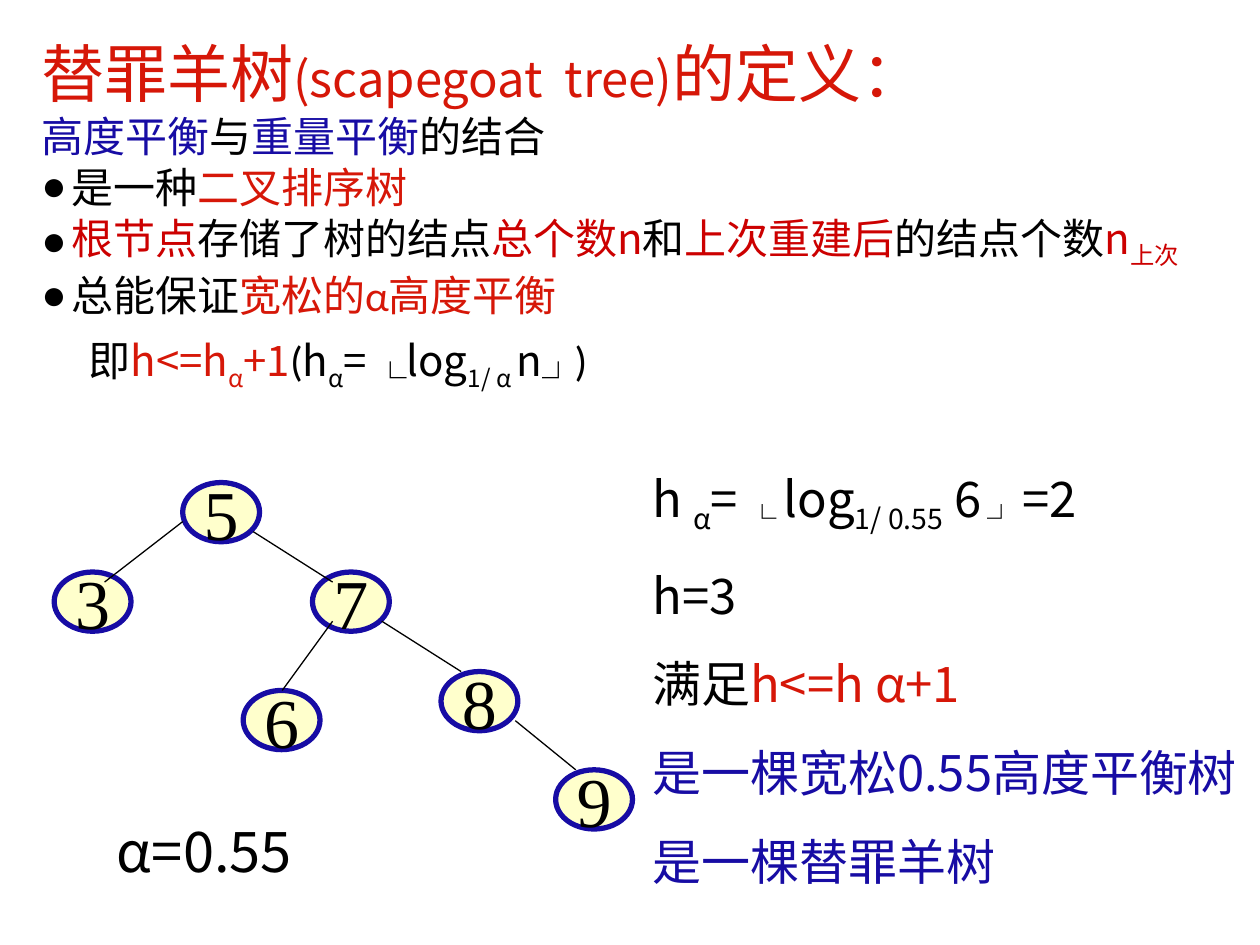
from lxml import etree
from pptx import Presentation
from pptx import util as u
from pptx.dml.color import RGBColor
from pptx.enum import shapes, text
from pptx.oxml.ns import qn

SANS, LATIN, SERIF = "Noto Sans CJK SC", "Calibri", "Times New Roman"
RED, DARK_RED, BLUE, BLACK, CREAM = "D61708", "CC0000", "170CA4", "000000", "FFFFCC"
SUB = {"sub": True}
RED_SUB = {"color": RED, "sub": True}
BIG_SUB = {"size": 32, "sub": True}

# Paragraph: line height, options, runs of (text, differences from the box style)
DEFINITION = [
    (43, {}, [("替罪羊树", {"size": 36, "color": RED}),
              ("(scapegoat  tree)", {"size": 28, "color": RED}),
              ("的定义：", {"size": 36, "color": RED})]),
    (29, {}, [("高度平衡", {"color": BLUE}), ("与", {}),
              ("重量平衡", {"color": BLUE}), ("的结合", {})]),
    (29, {"bullet": True}, [("是一种", {}), ("二叉排序树", {"color": RED})]),
    (33, {"bullet": True}, [("根节点", {"color": DARK_RED}), ("存储了树的结点", {}),
                            ("总个数n", {"color": DARK_RED}), ("和", {}),
                            ("上次重建后", {"color": DARK_RED}), ("的结点个数", {}),
                            ("n", {"color": DARK_RED}),
                            ("上次", {"color": DARK_RED, "sub": True})]),
    (29, {"bullet": True}, [("总能保证", {}), ("宽松的", {"color": RED}),
                            ("α高度平衡", {"color": RED, "font": LATIN})]),
    (44, {"margin": 27}, [("即", {"font": LATIN}), ("h<=h", {"color": RED}),
                          ("α", RED_SUB), ("+1", {"color": RED}),
                          ("(", {"font": LATIN}), ("h", {}), ("α", SUB), ("=", {}),
                          (" ", BIG_SUB), ("└", BIG_SUB), ("log", {}),
                          ("1/ α ", SUB), ("n", {}), ("┘", BIG_SUB),
                          (")", {"font": LATIN})]),
]
ALPHA = [(38.5, {}, [("α=0.55", {})])]
CHECK = [
    (38, {}, [("h ", {}), ("α", SUB), ("= ", {}), ("└ ", SUB), ("log", {}),
              ("1/ 0.55", SUB), (" 6", {}), (" ┘ ", SUB), ("=2", {})]),
    (33.25, {}, [("h=3", {})]),
    (33.25, {}, [("满足", {}), ("h<=h α+1", {"color": RED})]),
    (33.25, {}, [("是一棵宽松0.55高度平衡树", {"color": BLUE})]),
    (33.25, {}, [("是一棵替罪羊树", {"color": BLUE})]),
]
# Box: left, top, width, height, text size, space between paragraphs, paragraphs
BOXES = [
    (16.56, 16.56, 703.44, 241.92, 24, 0, DEFINITION),
    (59.76, 462.96, 150.48, 46.08, 32, 0, ALPHA),
    (365.76, 264.24, 354.24, 275.76, 28, 17.5, CHECK),
]

NODE_SIZE = (43.92, 33.84)
NODES = {"5": (104.4, 275.76), "7": (178.56, 326.88), "3": (30.96, 326.88),
         "6": (138.96, 394.56), "8": (252, 383.76), "9": (317.52, 439.92)}
EDGES = [
    (104.4, 298.08, 59.76, 332.64),
    (144.72, 303.84, 190.08, 332.64),
    (218.16, 354.96, 263.52, 383.76),
    (190.08, 354.96, 161.28, 394.56),
    (294.48, 411.84, 329.04, 439.92),
]


def rgb(value):
    return RGBColor.from_string(value)


def points(*values):
    return [u.Pt(value) for value in values]


def add_span(para, words, size, color=BLACK, font=SANS, sub=False):
    span = para.add_run()
    span.text = words
    span.font.size = u.Pt(size)
    span.font.name = font
    span.font.color.rgb = rgb(color)
    props = span.font._element
    etree.SubElement(props, qn("a:ea")).set("typeface", SANS)
    if sub:
        props.set("baseline", "-25000")


def indent(para, margin, hanging=0):
    props = para._p.get_or_add_pPr()
    props.set("marL", str(u.Pt(margin)))
    props.set("indent", str(u.Pt(-hanging)))
    return props


def add_bullet(para):
    props = indent(para, 17, 17)
    color = etree.SubElement(props, qn("a:buClr"))
    etree.SubElement(color, qn("a:srgbClr")).set("val", BLACK)
    etree.SubElement(props, qn("a:buFont")).set("typeface", SERIF)
    etree.SubElement(props, qn("a:buChar")).set("char", "●")


def add_text(slide, left, top, width, height, size, gap, paragraphs):
    box = slide.shapes.add_textbox(*points(left, top, width, height))
    frame = box.text_frame
    frame.word_wrap = True
    frame.auto_size = text.MSO_AUTO_SIZE.SHAPE_TO_FIT_TEXT
    for index, (line_height, options, runs) in enumerate(paragraphs):
        para = frame.add_paragraph() if index else frame.paragraphs[0]
        if options.get("bullet"):
            add_bullet(para)
        if "margin" in options:
            indent(para, options["margin"])
        para.line_spacing = u.Pt(line_height)
        if index and gap:
            para.space_before = u.Pt(gap)
        for words, style in runs:
            add_span(para, words, **{"size": size, **style})


def add_node(slide, label, left, top):
    node = slide.shapes.add_shape(shapes.MSO_SHAPE.OVAL, *points(left, top, *NODE_SIZE))
    node.shadow.inherit = False
    node.fill.solid()
    node.fill.fore_color.rgb = rgb(CREAM)
    node.line.color.rgb = rgb(BLUE)
    node.line.width = u.Pt(3)
    frame = node.text_frame
    frame.word_wrap = False
    frame.vertical_anchor = text.MSO_ANCHOR.MIDDLE
    para = frame.paragraphs[0]
    para.alignment = text.PP_ALIGN.CENTER
    add_span(para, label, 40, font=SERIF)


def add_edge(slide, ends):
    edge = slide.shapes.add_connector(shapes.MSO_CONNECTOR.STRAIGHT, *points(*ends))
    edge.line.color.rgb = rgb(BLACK)
    edge.line.width = u.Pt(0.75)
    etree.SubElement(edge._element.spPr, qn("a:effectLst"))


def main():
    deck = Presentation()
    deck.slide_width, deck.slide_height = points(720, 540)
    page = deck.slides.add_slide(deck.slide_layouts[6])
    for box in BOXES:
        add_text(page, *box)
    for label, corner in NODES.items():
        add_node(page, label, *corner)
    for ends in EDGES:
        add_edge(page, ends)
    deck.save("out.pptx")


if __name__ == "__main__":
    main()
